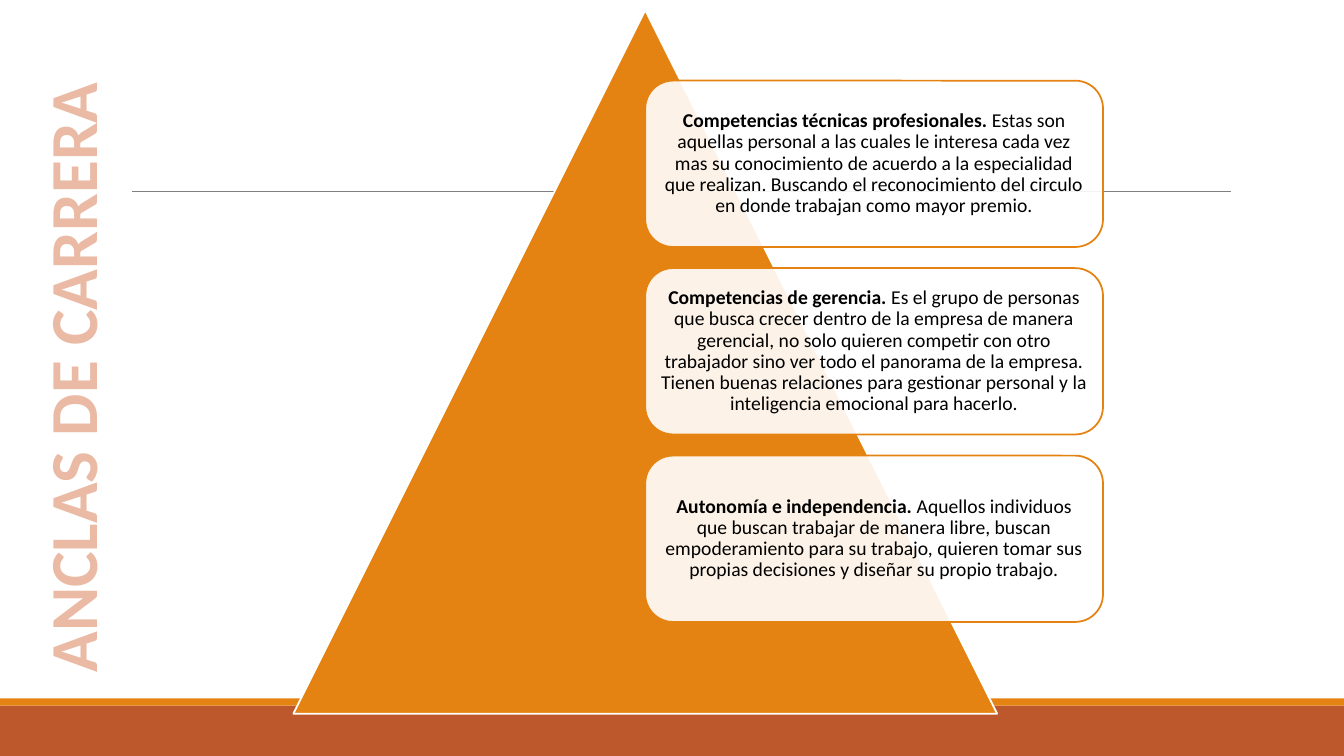
from typing import NamedTuple, Optional

import pptx
import pptx.dml.color
import pptx.enum.shapes
import pptx.enum.text
import pptx.oxml
import pptx.oxml.ns
import pptx.util

Inches = pptx.util.Inches
Pt = pptx.util.Pt
Shapes = pptx.enum.shapes.MSO_SHAPE
Anchor = pptx.enum.text.MSO_ANCHOR
CENTER = pptx.enum.text.PP_ALIGN.CENTER

FONT = "Calibri"
ORANGE = "E48312"
RUST = "BD582C"
PEACH = "EABAA5"
WHITE = "FFFFFF"
BLACK = "000000"
GRAY = "808080"

CARD_LEFT, CARD_TOP = 6.4, 0.8
CARD_WIDTH, CARD_HEIGHT = 4.54, 1.65
CARD_STEP = 1.86


class Box(NamedTuple):
    left: float
    top: float
    width: float
    height: float


class Anchorage(NamedTuple):
    heading: str
    description: str


ANCHORAGES = [
    Anchorage(
        "Competencias técnicas profesionales.",
        " Estas son aquellas personal a las cuales le interesa cada vez mas su "
        "conocimiento de acuerdo a la especialidad que realizan. Buscando el "
        "reconocimiento del circulo en donde trabajan como mayor premio.",
    ),
    Anchorage(
        "Competencias de gerencia.",
        " Es el grupo de personas que busca crecer dentro de la empresa de manera "
        "gerencial, no solo quieren competir con otro trabajador sino ver todo el "
        "panorama de la empresa. Tienen buenas relaciones para gestionar personal "
        "y la inteligencia emocional para hacerlo.",
    ),
    Anchorage(
        "Autonomía e independencia.",
        " Aquellos individuos que buscan trabajar de manera libre, buscan "
        "empoderamiento para su trabajo, quieren tomar sus propias decisiones y "
        "diseñar su propio trabajo.",
    ),
]


def color(value: str) -> pptx.dml.color.RGBColor:
    return pptx.dml.color.RGBColor.from_string(value)


def add_xml(parent, tag: str, **attributes: str):
    child = pptx.oxml.ns.qn(tag)
    element = parent.makeelement(child, attributes)
    parent.append(element)
    return element


def format_run(run, size: float, value: str, bold: bool) -> None:
    run.font.name = FONT
    run.font.size = Pt(size)
    run.font.bold = bold
    run.font.color.rgb = color(value)


def add_filled_shape(slide, kind, box: Box, fill: str, line: Optional[str] = None):
    shape = slide.shapes.add_shape(kind, *map(Inches, box))
    shape.shadow.inherit = False
    shape.fill.solid()
    shape.fill.fore_color.rgb = color(fill)
    if line is None:
        shape.line.fill.background()
    else:
        shape.line.color.rgb = color(line)
        shape.line.width = Pt(1.25)
    return shape


def add_rule(slide, left: float, right: float, top: float) -> None:
    rule = slide.shapes.add_connector(
        pptx.enum.shapes.MSO_CONNECTOR.STRAIGHT,
        Inches(left), Inches(top), Inches(right), Inches(top),
    )
    rule.line.color.rgb = color(GRAY)
    rule.line.width = Pt(0.5)
    add_xml(rule.line._get_or_add_ln().getparent(), "a:effectLst")


def add_vertical_title(slide, text: str, box: Box) -> None:
    title = slide.shapes.add_textbox(*map(Inches, box))
    title.rotation = 270
    frame = title.text_frame
    frame.word_wrap = True
    frame.vertical_anchor = Anchor.BOTTOM
    frame.text = text
    paragraph = frame.paragraphs[0]
    paragraph.alignment = CENTER
    paragraph.line_spacing = 0.85
    run = paragraph.runs[0]
    format_run(run, 48, PEACH, True)
    properties = run.font._element
    outline = add_xml(properties, "a:ln", w=str(Pt(1.75)))
    add_xml(add_xml(outline, "a:solidFill"), "a:srgbClr", val=RUST)
    properties.insert(0, outline)


def add_card(slide, anchorage: Anchorage, box: Box) -> None:
    """Draw a translucent rounded card with a bold heading and its description."""
    card = add_filled_shape(slide, Shapes.ROUNDED_RECTANGLE, box, WHITE, ORANGE)
    fill_color = card._element.spPr.find(
        pptx.oxml.ns.qn("a:solidFill") + "/" + pptx.oxml.ns.qn("a:srgbClr"))
    add_xml(fill_color, "a:alpha", val="90000")
    frame = card.text_frame
    frame.word_wrap = True
    frame.vertical_anchor = Anchor.MIDDLE
    frame.margin_left = frame.margin_right = Inches(0.06)
    frame.margin_top = frame.margin_bottom = Inches(0.06)
    paragraph = frame.paragraphs[0]
    paragraph.alignment = CENTER
    paragraph.line_spacing = 0.9
    for text, bold in ((anchorage.heading, True), (anchorage.description, False)):
        run = paragraph.add_run()
        run.text = text
        format_run(run, 14, BLACK, bold)


def main() -> None:
    presentation = pptx.Presentation()
    presentation.slide_width = Inches(13.33)
    presentation.slide_height = Inches(7.5)
    slide = presentation.slides.add_slide(presentation.slide_layouts[6])

    add_filled_shape(slide, Shapes.RECTANGLE, Box(0, 7, 13.33, 0.5), RUST)
    add_filled_shape(slide, Shapes.RECTANGLE, Box(0, 6.93, 13.33, 0.07), ORANGE)
    add_rule(slide, 1.31, 12.21, 1.9)
    add_vertical_title(slide, "ANCLAS DE CARRERA", Box(-5.14, 2.95, 11, 1.59))
    add_filled_shape(slide, Shapes.ISOSCELES_TRIANGLE,
                     Box(2.91, 0.1, 6.98, 6.98), ORANGE, WHITE)
    for index, anchorage in enumerate(ANCHORAGES):
        top = CARD_TOP + index * CARD_STEP
        add_card(slide, anchorage, Box(CARD_LEFT, top, CARD_WIDTH, CARD_HEIGHT))

    presentation.save("out.pptx")


if __name__ == "__main__":
    main()
